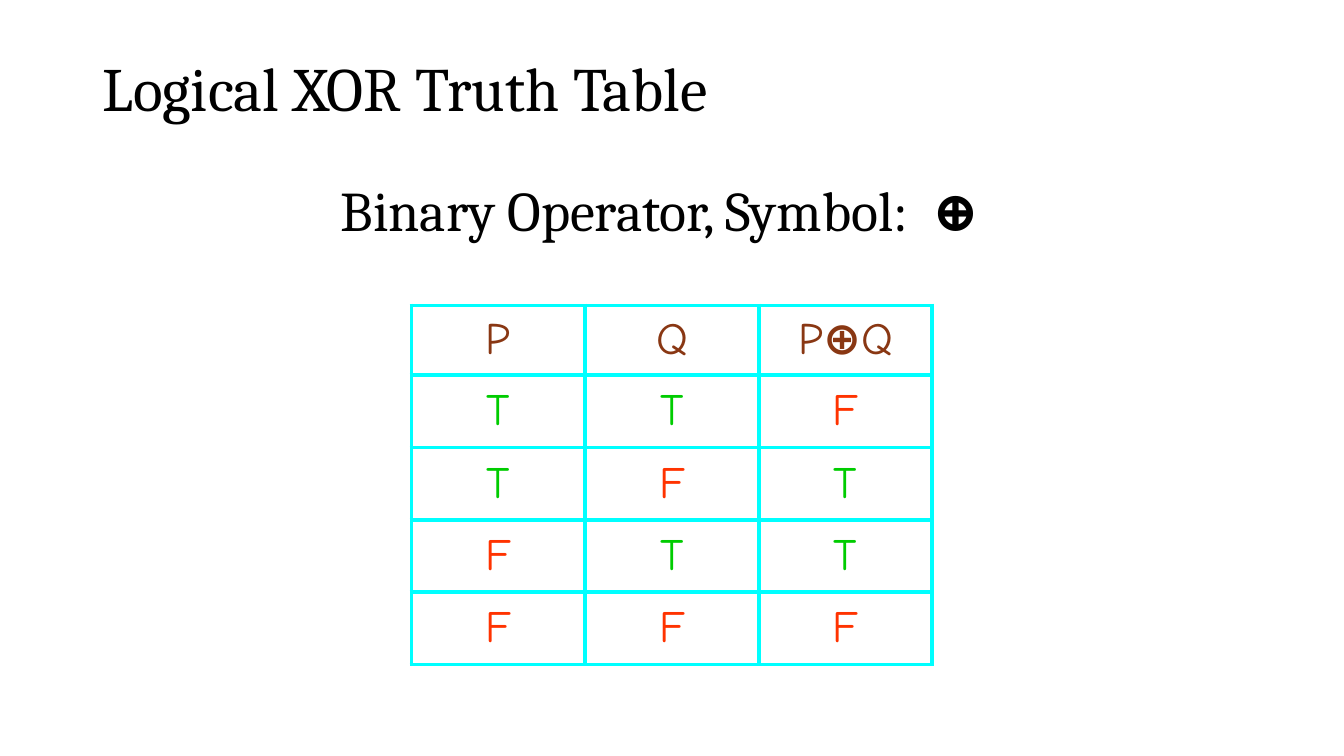
from lxml import etree
from pptx import Presentation
from pptx.dml.color import RGBColor
from pptx.enum.text import MSO_ANCHOR, PP_ALIGN
from pptx.oxml.ns import qn
from pptx.util import Pt

LEFT, CENTER = PP_ALIGN.LEFT, PP_ALIGN.CENTER
TOP, MIDDLE = MSO_ANCHOR.TOP, MSO_ANCHOR.MIDDLE

COLORS = {
    "text": "000000",
    "header": "893713",
    "true": "00CC00",
    "false": "FF3300",
    "border": "00FFFF",
}
SERIF, HAND = "Cambria", "Comic Neue"
XOR = "⊕"
VALUES = (True, False)
BORDER_WIDTH = 3
HEADER_HEIGHT, ROW_HEIGHT = 49.8, 51.7


def write(tf, text, size, font, color="text", align=LEFT, anchor=TOP, spacing=None):
    """Fill the first paragraph, setting every XOR symbol in bold."""
    tf.word_wrap = True
    tf.vertical_anchor = anchor
    p = tf.paragraphs[0]
    p.alignment = align
    p.space_before = Pt(0)
    p.line_spacing = spacing
    before, symbol, after = text.partition(XOR)
    for part in filter(None, (before, symbol, after)):
        r = p.add_run()
        r.text = part
        r.font.name = font
        r.font.size = Pt(size)
        r.font.bold = part == XOR
        r.font.color.rgb = RGBColor.from_string(COLORS[color])


def add_heading(slide, x, y, w, h, text, size, **fmt):
    sp = slide.shapes.add_textbox(Pt(x), Pt(y), Pt(w), Pt(h))
    write(sp.text_frame, text, size, SERIF, spacing=0.9, **fmt)


def set_borders(cell):
    tcPr = cell._tc.get_or_add_tcPr()
    for i, side in enumerate(("a:lnL", "a:lnR", "a:lnT", "a:lnB")):
        ln = etree.Element(qn(side), w=str(Pt(BORDER_WIDTH)))
        fill = etree.SubElement(ln, qn("a:solidFill"))
        etree.SubElement(fill, qn("a:srgbClr"), val=COLORS["border"])
        tcPr.insert(i, ln)


def add_truth_table(slide, x, y, w):
    rows = [("P", "Q", f"P{XOR}Q")]
    for p in VALUES:
        for q in VALUES:
            rows.append(tuple("T" if v else "F" for v in (p, q, p != q)))
    heights = [HEADER_HEIGHT] + [ROW_HEIGHT] * (len(rows) - 1)
    columns = len(rows[0])
    table = slide.shapes.add_table(
        len(rows), columns, Pt(x), Pt(y), Pt(w), Pt(sum(heights))
    ).table
    table.first_row = table.horz_banding = False
    for column in table.columns:
        column.width = Pt(w / columns)
    colors = {"T": "true", "F": "false"}
    for i, (labels, height) in enumerate(zip(rows, heights)):
        table.rows[i].height = Pt(height)
        for j, label in enumerate(labels):
            cell = table.cell(i, j)
            cell.fill.background()
            set_borders(cell)
            cell.vertical_anchor = MIDDLE
            write(cell.text_frame, label, 32, HAND,
                  color=colors.get(label, "header"), align=CENTER, anchor=None)


def main():
    prs = Presentation()
    prs.slide_width, prs.slide_height = Pt(960), Pt(540)
    slide = prs.slides.add_slide(prs.slide_layouts[6])
    add_heading(slide, 66, 32.4, 828, 66, "Logical XOR Truth Table", 44, anchor=MIDDLE)
    add_heading(slide, 153.4, 127.4, 636, 66,
                f"Binary Operator, Symbol:  {XOR}", 40, align=CENTER)
    add_truth_table(slide, 294, 218.2, 372)
    prs.save("out.pptx")


if __name__ == "__main__":
    main()
